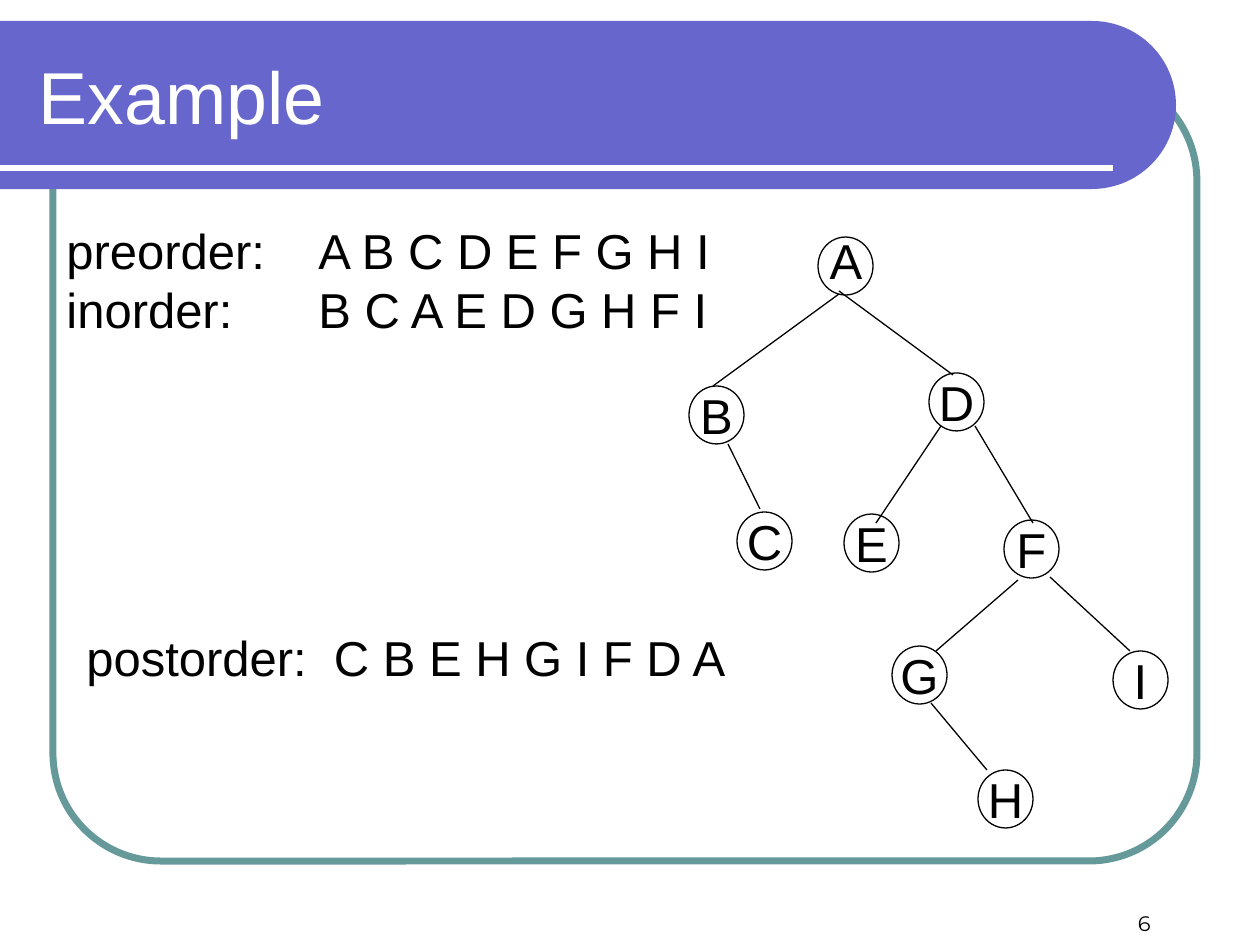
import math
from pptx import Presentation, util as u
from pptx.dml.color import RGBColor
from pptx.enum import shapes as es, text as et
from pptx.oxml.ns import qn
from lxml import etree

VIOLET = RGBColor(0x66, 0x66, 0xCC)
TEAL = RGBColor(0x66, 0x99, 0x99)
WHITE = RGBColor(0xFF, 0xFF, 0xFF)
BLACK = RGBColor(0, 0, 0)

HEADING = "Example"
PAGE = "6"
GIVEN = ["preorder: \tA B C D E F G H I", "inorder:\tB C A E D G H F I"]
ANSWER = ["postorder:  C B E H G I F D A"]
ROOT = "A"
NODES = {
    "A": (818, 237), "B": (689, 386), "C": (737, 512),
    "D": (929, 373), "E": (844, 514), "F": (1004, 520),
    "G": (892, 646), "I": (1113, 651), "H": (978, 770),
}
BRANCHES = [
    (839, 294, 713, 386), (839, 291, 953, 375),
    (728, 444, 760, 509), (941, 426, 876, 523),
    (975, 426, 1033, 523), (1018, 580, 936, 651),
    (1050, 577, 1130, 651), (931, 703, 987, 770),
]
NODE_SIZE = (55, 58)
BANNER_TOP, BANNER_RADIUS, BANNER_STRAIGHT = 21, 84, 1092
ARC_STEPS = 60


def px(*lengths):
    return [round(length * 914400 / 126) for length in lengths]


def write(frame, lines, size=28, font="Arial", color=BLACK, align=et.PP_ALIGN.LEFT,
          anchor=et.MSO_ANCHOR.TOP, wrap=False):
    frame.word_wrap = wrap
    frame.auto_size = et.MSO_AUTO_SIZE.NONE
    frame.vertical_anchor = anchor
    paragraph = frame.paragraphs[0]
    paragraph.alignment = align
    paragraph._p.get_or_add_pPr().set("defTabSz", str(u.Inches(1)))
    for index, line in enumerate(lines):
        if index:
            paragraph.add_line_break()
        run = paragraph.add_run()
        run.text = line
        run.font.size = u.Pt(size)
        run.font.name = font
        run.font.color.rgb = color


def outline(kind, box, color, width):
    shape = slide.shapes.add_shape(kind, *px(*box))
    shape.shadow.inherit = False
    shape.fill.background()
    shape.line.color.rgb = color
    shape.line.width = u.Pt(width)
    return shape


def draw_line(ends, color, width):
    line = slide.shapes.add_connector(es.MSO_CONNECTOR.STRAIGHT, *px(*ends))
    line.line.color.rgb = color
    line.line.width = u.Pt(width)
    etree.SubElement(line._element.spPr, qn("a:effectLst"))


def text_box(box, lines, **style):
    write(slide.shapes.add_textbox(*px(*box)).text_frame, lines, **style)


prs = Presentation()
prs.slide_width, prs.slide_height = px(1260, 945)
slide = prs.slides.add_slide(prs.slide_layouts[5])

frame = outline(es.MSO_SHAPE.ROUNDED_RECTANGLE, (53, 73, 1144, 788), TEAL, 4)
frame.adjustments[0] = 0.137

middle = BANNER_TOP + BANNER_RADIUS
angles = [math.pi * (step / ARC_STEPS - 0.5) for step in range(ARC_STEPS + 1)]
arc = [px(BANNER_STRAIGHT + BANNER_RADIUS * math.cos(a), middle + BANNER_RADIUS * math.sin(a))
       for a in angles]
builder = slide.shapes.build_freeform(*px(0, BANNER_TOP))
builder.add_line_segments(arc + [px(0, middle + BANNER_RADIUS)], close=True)
banner = builder.convert_to_shape()
banner.shadow.inherit = False
banner.fill.solid()
banner.fill.fore_color.rgb = VIOLET
banner.line.fill.background()
draw_line((0, 168, 1113, 168), WHITE, 3)

heading = slide.shapes.title
heading.left, heading.top, heading.width, heading.height = px(26, 32, 1105, 126)
write(heading.text_frame, [HEADING], size=42, color=WHITE,
      anchor=et.MSO_ANCHOR.MIDDLE, wrap=True)
slide.shapes._spTree.append(heading._element)

text_box((901, 879, 262, 63), [PAGE], size=12, font="Montserrat",
         align=et.PP_ALIGN.RIGHT, anchor=et.MSO_ANCHOR.BOTTOM, wrap=True)

for name, corner in NODES.items():
    node = outline(es.MSO_SHAPE.OVAL, corner + NODE_SIZE, BLACK, 0.75)
    if name != ROOT:
        write(node.text_frame, [name], align=et.PP_ALIGN.CENTER, anchor=et.MSO_ANCHOR.MIDDLE)
text_box((816, 224, 60, 72), [ROOT], align=et.PP_ALIGN.CENTER)
for ends in BRANCHES:
    draw_line(ends, BLACK, 0.75)

text_box((54, 214, 675, 131), GIVEN)
text_box((74, 621, 685, 72), ANSWER)

prs.save("out.pptx")
